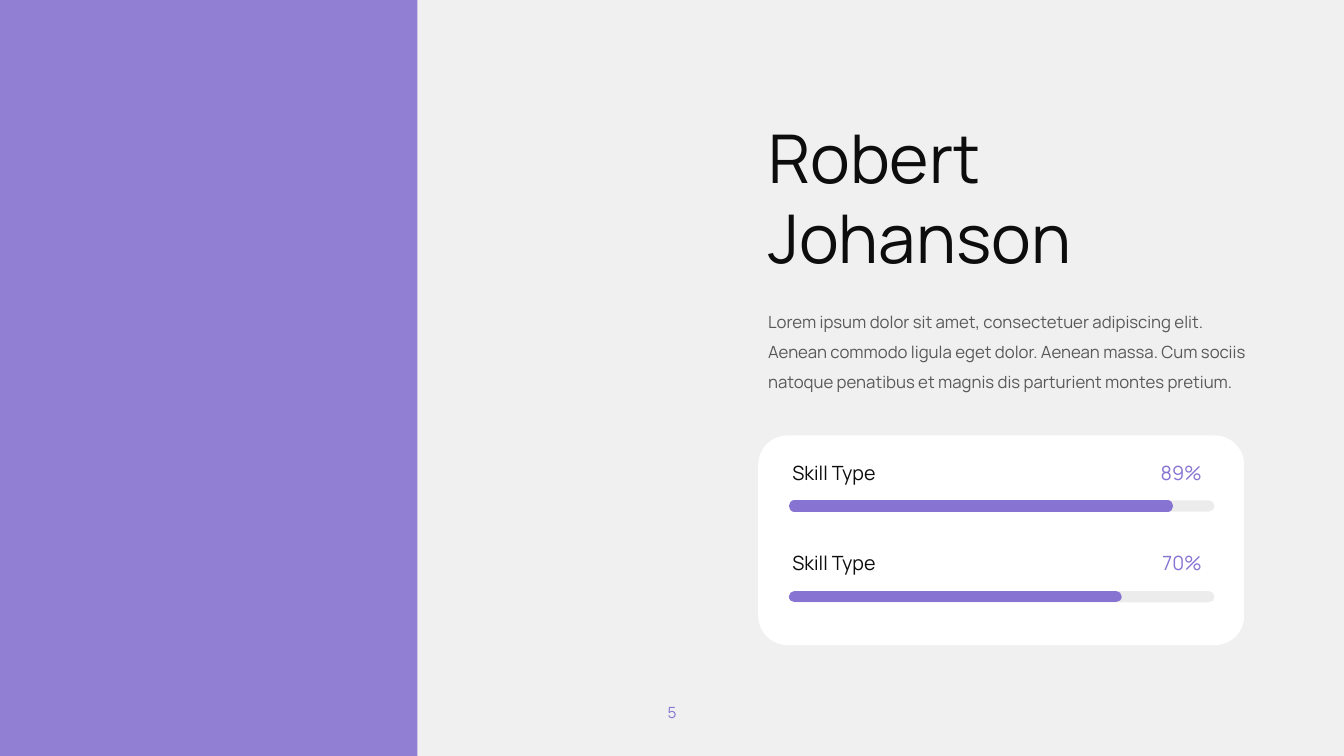
from lxml import etree
from pptx import Presentation
from pptx.dml.color import RGBColor
from pptx.enum.shapes import MSO_CONNECTOR, MSO_SHAPE
from pptx.enum.text import MSO_ANCHOR, PP_ALIGN
from pptx.oxml.ns import qn
from pptx.util import Inches, Pt

NAME = "Robert Johanson"
BIO = ("Lorem ipsum dolor sit amet, consectetuer adipiscing elit. "
       "Aenean commodo ligula eget dolor. Aenean massa. Cum sociis "
       "natoque penatibus et magnis dis parturient montes pretium.")
PAGE_NUMBER = "5"
# label, value, right end of the filled bar in inches
SKILLS = [("Skill Type", "89%", 11.58), ("Skill Type", "70%", 11.07)]

FONT = "Manrope"
PURPLE, INK, GREY = "8773D1", "0D0D0D", "595959"
TRACK, WHITE, PAPER = "D9D9D9", "FFFFFF", "F0F0F0"
BAR_LEFT, BAR_RIGHT = 7.88, 11.99
SKILL_TOP, SKILL_STEP, BAR_DROP = 4.52, 0.9, 0.5


def paint(color_format, color):
    color_format.rgb = RGBColor.from_string(color)


def set_opacity(shape, percent):
    for color in shape._element.spPr.iter(qn("a:srgbClr")):
        etree.SubElement(color, qn("a:alpha")).set("val", str(percent * 1000))


def add_panel(slide, kind, left, top, width, height, color):
    panel = slide.shapes.add_shape(
        kind, Inches(left), Inches(top), Inches(width), Inches(height))
    panel.shadow.inherit = False
    panel.fill.solid()
    paint(panel.fill.fore_color, color)
    panel.line.fill.background()
    return panel


def add_text(slide, text, left, top, width, height, size, color, align=PP_ALIGN.LEFT):
    box = slide.shapes.add_textbox(
        Inches(left), Inches(top), Inches(width), Inches(height))
    box.text_frame.word_wrap = True
    paragraph = box.text_frame.paragraphs[0]
    paragraph.text = text
    paragraph.alignment = align
    paragraph.font.name = FONT
    paragraph.font.size = Pt(size)
    paint(paragraph.font.color, color)
    return box.text_frame


def add_bar(slide, right, y, color):
    """Draw a thick horizontal line with round ends."""
    bar = slide.shapes.add_connector(
        MSO_CONNECTOR.STRAIGHT, Inches(BAR_LEFT), Inches(y), Inches(right), Inches(y))
    bar.line.width = Pt(8)
    paint(bar.line.color, color)
    bar.line._ln.set("cap", "rnd")
    etree.SubElement(bar._element.spPr, qn("a:effectLst"))
    return bar


def main():
    prs = Presentation()
    prs.slide_width, prs.slide_height = Inches(13.33), Inches(7.5)
    slide = prs.slides.add_slide(prs.slide_layouts[6])
    slide.background.fill.solid()
    paint(slide.background.fill.fore_color, PAPER)

    page = add_text(slide, PAGE_NUMBER, 6.2, 6.92, 0.93, 0.29, 11, PURPLE, PP_ALIGN.CENTER)
    page.vertical_anchor = MSO_ANCHOR.MIDDLE

    side_panel = add_panel(slide, MSO_SHAPE.RECTANGLE, 0, 0, 4.14, 7.5, PURPLE)
    set_opacity(side_panel, 90)

    add_text(slide, NAME, 7.52, 1.1, 5.06, 1.72, 48, INK)
    bio = add_text(slide, BIO, 7.52, 2.94, 5.06, 0.98, 12, GREY).paragraphs[0]
    bio.line_spacing = 1.5
    bio.space_before = Pt(8)

    card = add_panel(slide, MSO_SHAPE.ROUNDED_RECTANGLE, 7.52, 4.32, 4.82, 2.08, WHITE)
    card.adjustments[0] = 0.14

    for row, (label, value, fill_right) in enumerate(SKILLS):
        top = SKILL_TOP + row * SKILL_STEP
        set_opacity(add_bar(slide, BAR_RIGHT, top + BAR_DROP, TRACK), 48)
        add_bar(slide, fill_right, top + BAR_DROP, PURPLE)
        add_text(slide, label, 7.76, top, 1.43, 0.34, 14, INK)
        add_text(slide, value, 10.32, top, 1.7, 0.34, 14, PURPLE, PP_ALIGN.RIGHT)

    prs.save("out.pptx")


if __name__ == "__main__":
    main()
